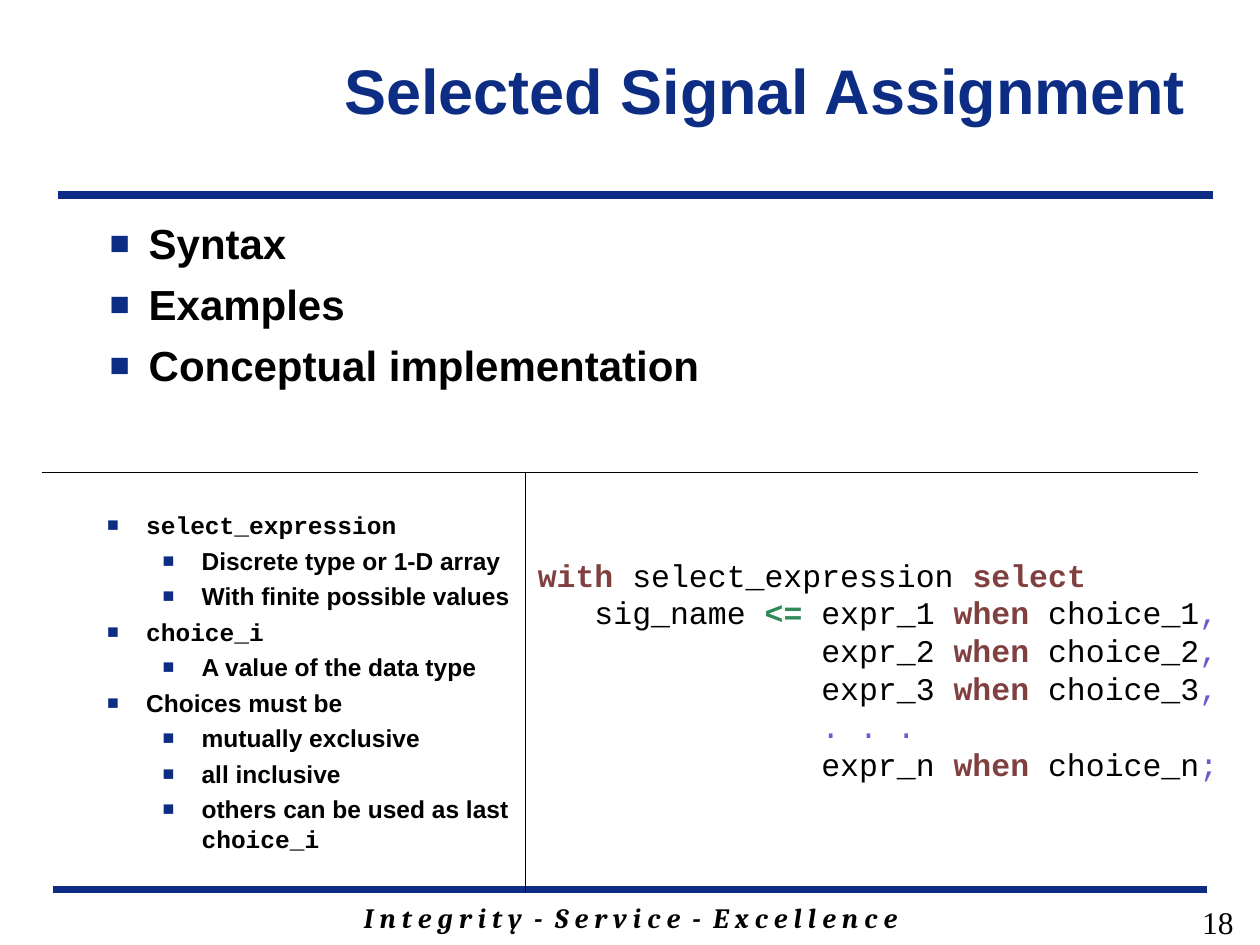
"""Build the slide on selected signal assignment."""
from dataclasses import dataclass

from pptx import Presentation
from pptx.dml.color import RGBColor
from pptx.enum.shapes import MSO_CONNECTOR
from pptx.enum.text import MSO_ANCHOR, MSO_AUTO_SIZE, PP_ALIGN
from pptx.oxml.ns import qn
from pptx.oxml.xmlchemy import OxmlElement
from pptx.util import Inches, Pt

WIDTH, HEIGHT = Inches(10), Inches(7.5)


@dataclass(frozen=True)
class Theme:
    """Colours, fonts and type sizes of the slide."""

    navy: str = "0C2D83"
    black: str = "000000"
    keyword: str = "804040"
    operator: str = "2E8B57"
    mark: str = "6A5ACD"
    sans: str = "Arial"
    mono: str = "Courier New"
    motto: str = "Cambria"
    number: str = "Times New Roman"
    title_size: int = 36
    topic_size: int = 24
    code_size: int = 18
    motto_size: int = 16
    detail_size: int = 14


THEME = Theme()
BULLET_INDENT = Inches(0.31)
LEVEL_INDENTS = (BULLET_INDENT, Inches(0.75))
CODE_CHARACTER = Pt(THEME.code_size * 0.6)

TOPICS = [(0, [(text, THEME.sans)]) for text in
          ("Syntax", "Examples", "Conceptual implementation")]
DETAILS = [
    (0, [("select_expression", THEME.mono)]),
    (1, [("Discrete type or 1-D array", THEME.sans)]),
    (1, [("With finite possible values", THEME.sans)]),
    (0, [("choice_i", THEME.mono)]),
    (1, [("A value of the data type", THEME.sans)]),
    (0, [("Choices must be", THEME.sans)]),
    (1, [("mutually exclusive", THEME.sans)]),
    (1, [("all inclusive", THEME.sans)]),
    (1, [("others can be used as last ", THEME.sans), ("choice_i", THEME.mono)]),
]


def across(share):
    """Return a percentage of the slide's width."""
    return round(WIDTH * share / 100)


def down(share):
    """Return a percentage of the slide's height."""
    return round(HEIGHT * share / 100)


def apply(target, values):
    """Set each named attribute on the target."""
    for name, value in values.items():
        setattr(target, name, value)


def place(shape, left, top, width, height):
    """Position a shape in percentages of the slide."""
    apply(shape, {"left": across(left), "top": down(top),
                  "width": across(width), "height": down(height)})


def add_run(paragraph, text, size, font, color=THEME.black, bold=False, italic=False):
    """Append a formatted run to a paragraph."""
    run = paragraph.add_run()
    run.text = text
    apply(run.font, {"size": Pt(size), "name": font, "bold": bold, "italic": italic})
    run.font.color.rgb = RGBColor.from_string(color)


def next_paragraph(frame, index):
    """Return the first paragraph, or a new one after it."""
    return frame.add_paragraph() if index else frame.paragraphs[0]


def set_indent(paragraph, left, first=0):
    """Set the left margin and first-line indent."""
    properties = paragraph._p.get_or_add_pPr()
    properties.set("marL", str(int(left)))
    properties.set("indent", str(int(first)))
    return properties


def set_bullet(paragraph, level):
    """Give a paragraph a navy square bullet."""
    properties = set_indent(paragraph, LEVEL_INDENTS[level], -BULLET_INDENT)
    color = OxmlElement("a:buClr")
    value = OxmlElement("a:srgbClr")
    value.set("val", THEME.navy)
    color.append(value)
    size = OxmlElement("a:buSzPct")
    size.set("val", "80000")
    font = OxmlElement("a:buFont")
    font.set("typeface", THEME.sans)
    character = OxmlElement("a:buChar")
    character.set("char", "■")
    for element in (color, size, font, character):
        properties.append(element)


def fill_title(shape, text, box):
    """Place and fill the title."""
    place(shape, *box)
    apply(shape.text_frame, {"vertical_anchor": MSO_ANCHOR.MIDDLE,
                             "auto_size": MSO_AUTO_SIZE.NONE})
    paragraph = shape.text_frame.paragraphs[0]
    paragraph.alignment = PP_ALIGN.RIGHT
    add_run(paragraph, text, THEME.title_size, THEME.sans, THEME.navy, True)


def fill_list(shape, items, size, box):
    """Place a body placeholder and fill it with bulleted items."""
    place(shape, *box)
    frame = shape.text_frame
    apply(frame, {"auto_size": MSO_AUTO_SIZE.NONE, "vertical_anchor": MSO_ANCHOR.TOP})
    for index, (level, runs) in enumerate(items):
        paragraph = next_paragraph(frame, index)
        apply(paragraph, {"level": level, "space_before": Pt(size * 0.25)})
        set_bullet(paragraph, level)
        for text, font in runs:
            add_run(paragraph, text, size, font, bold=True)


def add_label(slide, text, box, alignment, **style):
    """Add a one-line text box."""
    frame = slide.shapes.add_textbox(0, 0, 0, 0)
    place(frame, *box)
    frame.text_frame.word_wrap = True
    paragraph = frame.text_frame.paragraphs[0]
    paragraph.alignment = alignment
    add_run(paragraph, text, **style)


def add_rule(slide, start, end, color, width):
    """Add a straight line without shadow."""
    line = slide.shapes.add_connector(MSO_CONNECTOR.STRAIGHT, across(start[0]),
                                      down(start[1]), across(end[0]), down(end[1]))
    line.line.color.rgb = RGBColor.from_string(color)
    line.line.width = Pt(width)
    line._element.find(qn("p:spPr")).append(OxmlElement("a:effectLst"))


def code_lines():
    """Return the indent and coloured parts of each code line."""
    plain, keyword, mark = THEME.black, THEME.keyword, THEME.mark

    def choice(name, ending):
        return [(f"expr_{name} ", plain), ("when", keyword),
                (f" choice_{name}", plain), (ending, mark)]

    return [
        (0, [("with", keyword), (" select_expression ", plain), ("select", keyword)]),
        (3, [("sig_name ", plain), ("<=", THEME.operator), (" ", plain),
             *choice(1, ",")]),
        *[(15, choice(name, ",")) for name in (2, 3)],
        (15, [(". . .", mark)]),
        (15, choice("n", ";")),
    ]


def add_code(slide, lines, box):
    """Add the highlighted code, indented by whole characters."""
    shape = slide.shapes.add_textbox(0, 0, 0, 0)
    place(shape, *box)
    frame = shape.text_frame
    apply(frame, {"word_wrap": False, "vertical_anchor": MSO_ANCHOR.MIDDLE})
    for index, (indent, parts) in enumerate(lines):
        paragraph = next_paragraph(frame, index)
        set_indent(paragraph, CODE_CHARACTER * indent)
        for text, color in parts:
            add_run(paragraph, text, THEME.code_size, THEME.mono, color,
                    bold=color in (THEME.keyword, THEME.operator))


def main():
    """Build and save the slide."""
    presentation = Presentation()
    apply(presentation, {"slide_width": WIDTH, "slide_height": HEIGHT})
    slide = presentation.slides.add_slide(presentation.slide_layouts[3])
    title, topics, details = slide.placeholders
    add_rule(slide, (4.2, 94.13), (95.8, 94.13), THEME.navy, 4.5)
    add_rule(slide, (4.6, 20.67), (96.3, 20.67), THEME.navy, 4.5)
    add_label(slide, "I n t e g r i t y  -  S e r v i c e  -  E x c e l l e n c e",
              (14.2, 94.67, 71.7, 4.93), PP_ALIGN.CENTER,
              size=THEME.motto_size, font=THEME.motto, bold=True, italic=True)
    fill_title(title, "Selected Signal Assignment", (20.9, 1.07, 74.2, 16.67))
    fill_list(topics, TOPICS, THEME.topic_size, (7.7, 22.4, 88.9, 27.6))
    add_label(slide, "18", (75.6, 94.9, 23.3, 4.9), PP_ALIGN.RIGHT,
              size=THEME.code_size, font=THEME.number)
    fill_list(details, DETAILS, THEME.detail_size, (7.5, 53.33, 36.7, 41.07))
    add_rule(slide, (3.3, 50), (95.1, 50), THEME.black, 1)
    add_rule(slide, (41.7, 50), (41.7, 94.4), THEME.black, 1)
    add_code(slide, code_lines(), (41.7, 58, 56.3, 25.6))
    presentation.save("out.pptx")


if __name__ == "__main__":
    main()
